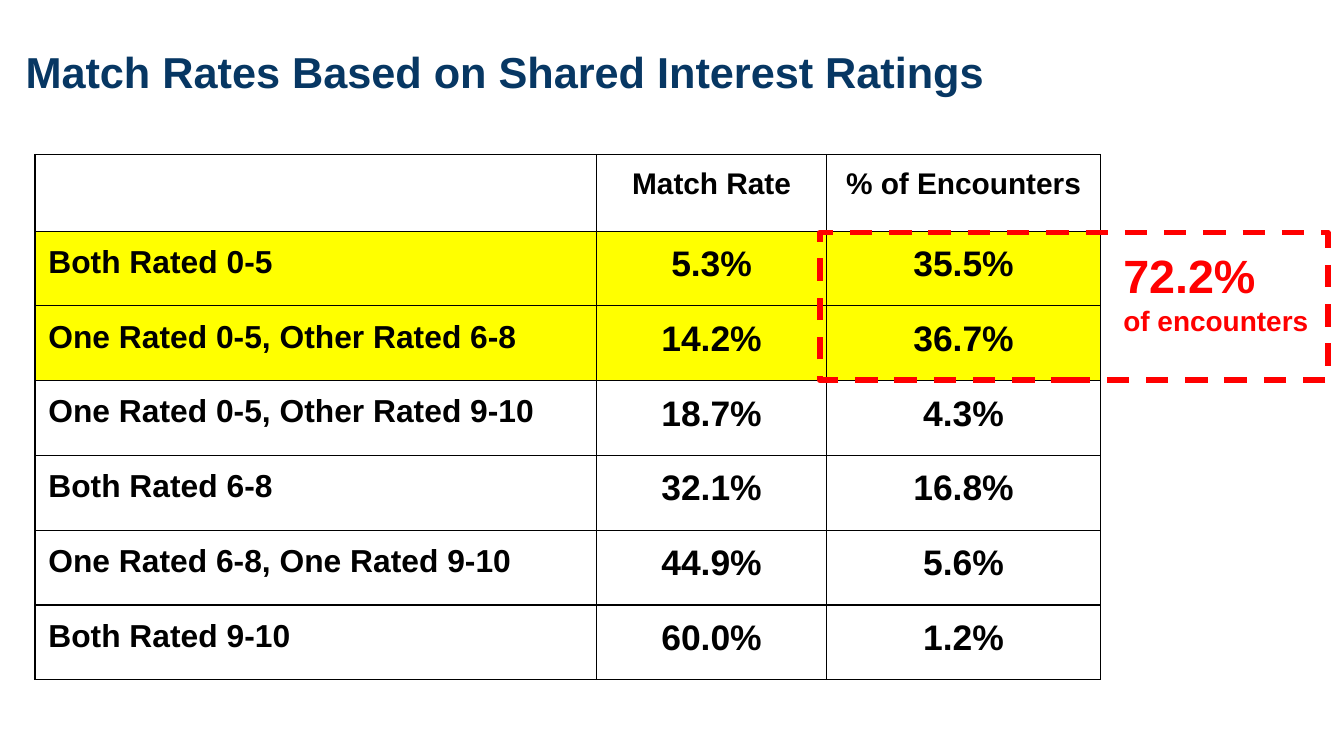
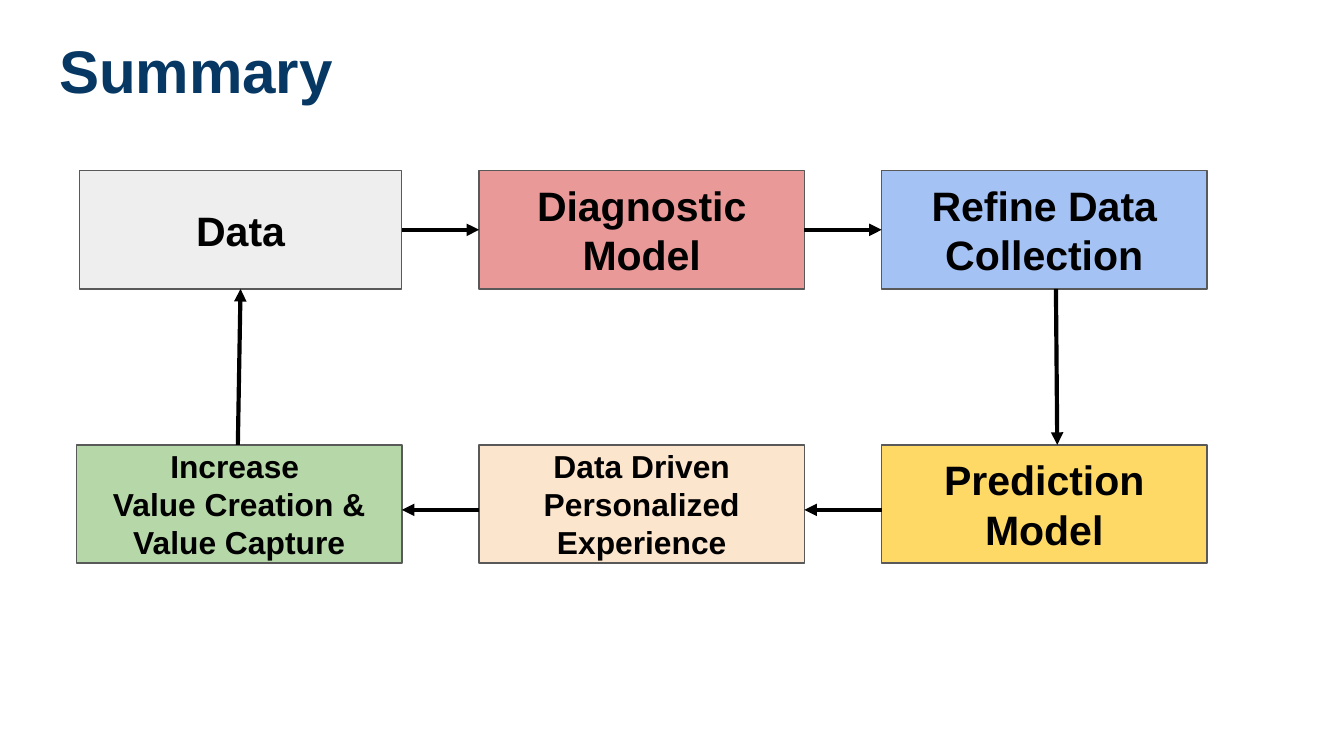
from lxml import etree
from pptx import Presentation
from pptx import util as u
from pptx.dml.color import RGBColor
from pptx.enum import dml, shapes, text
from pptx.oxml.ns import qn

FONT = "Arial"
COLOURS = {
    "title": "073763", "ink": "000000", "paper": "FFFFFF", "outline": "595959",
    "highlight": "FFFF00", "callout": "FF0000",
    "grey": "EEEEEE", "rose": "EA9999", "blue": "A4C2F4",
    "gold": "FFD966", "peach": "FCE5CD", "green": "B6D7A8",
}
INSET = 0.1
LEFT, CENTRE = text.PP_ALIGN.LEFT, text.PP_ALIGN.CENTER
TOP, MIDDLE = text.MSO_ANCHOR.TOP, text.MSO_ANCHOR.MIDDLE


def colour(name):
    return RGBColor.from_string(COLOURS[name])


def inches(*lengths):
    return [u.Inches(length) for length in lengths]


def add_span(para, words, size, ink="ink"):
    span = para.add_run()
    span.text = words
    span.font.name = FONT
    span.font.size = u.Pt(size)
    span.font.bold = True
    span.font.color.rgb = colour(ink)


def write(frame, lines, ink="ink", align=LEFT, anchor=TOP):
    frame.word_wrap = True
    frame.auto_size = text.MSO_AUTO_SIZE.NONE
    frame.vertical_anchor = anchor
    for side in ("left", "right", "top", "bottom"):
        setattr(frame, "margin_" + side, u.Inches(INSET))
    for index, (words, size) in enumerate(lines):
        para = frame.add_paragraph() if index else frame.paragraphs[0]
        para.alignment = align
        para.line_spacing = 1.0
        add_span(para, words, size, ink)


def add_page(deck, title, size, left, top):
    page = deck.slides.add_slide(deck.slide_layouts[5])
    page.background.fill.solid()
    page.background.fill.fore_color.rgb = colour("paper")
    box = page.shapes.title
    box.left, box.top, box.width, box.height = inches(left, top, 9.32, 0.63)
    write(box.text_frame, [(title, size)], "title")
    return page


def add_rectangle(page, box, fill, line, weight):
    shape = page.shapes.add_shape(shapes.MSO_SHAPE.RECTANGLE, *inches(*box))
    shape.shadow.inherit = False
    if fill:
        shape.fill.solid()
        shape.fill.fore_color.rgb = colour(fill)
    else:
        shape.fill.background()
    shape.line.color.rgb = colour(line)
    shape.line.width = u.Pt(weight)
    return shape


def add_arrow(page, start, end):
    arrow = page.shapes.add_connector(
        shapes.MSO_CONNECTOR.STRAIGHT, *inches(*start, *end))
    arrow.line.color.rgb = colour("ink")
    arrow.line.width = u.Pt(2.25)
    etree.SubElement(arrow.line._get_or_add_ln(), qn("a:tailEnd"), type="triangle")
    etree.SubElement(arrow._element.spPr, qn("a:effectLst"))


def add_borders(cell):
    properties = cell._tc.get_or_add_tcPr()
    for index, side in enumerate(("lnL", "lnR", "lnT", "lnB")):
        border = etree.Element(qn("a:" + side), w=str(u.Pt(0.75)))
        fill = etree.SubElement(border, qn("a:solidFill"))
        etree.SubElement(fill, qn("a:srgbClr"), val=COLOURS["ink"])
        properties.insert(index, border)


def add_rate_table(page, left, top, rows, widths, heights, highlighted):
    frame = page.shapes.add_table(
        len(rows), len(widths), *inches(left, top, sum(widths), sum(heights)))
    table = frame.table
    table.first_row = table.horz_banding = False
    for column, width in zip(table.columns, widths):
        column.width = u.Inches(width)
    for row, height in zip(table.rows, heights):
        row.height = u.Inches(height)
    for r, values in enumerate(rows):
        for c, value in enumerate(values):
            cell = table.cell(r, c)
            if r in highlighted:
                cell.fill.solid()
                cell.fill.fore_color.rgb = colour("highlight")
            else:
                cell.fill.background()
            add_borders(cell)
            cell.margin_left = cell.margin_right = u.Inches(INSET)
            cell.margin_top = cell.margin_bottom = u.Inches(INSET)
            if value:
                para = cell.text_frame.paragraphs[0]
                para.alignment = CENTRE if c else LEFT
                add_span(para, value, 16 if r == 0 else 19 if c else 17)


def add_callout(page, left, top, width, height):
    label = page.shapes.add_textbox(*inches(left + 2.16, top + 0.01, 1.63, 0.88))
    write(label.text_frame, [("72.2%", 25), ("of encounters", 15)], "callout")
    outline = add_rectangle(page, (left, top, width, height), None, "callout", 3)
    outline.line.dash_style = dml.MSO_LINE.DASH


def add_cycle(page, left, top, width, height):
    step_width, step_height = 2.42, 0.88
    across = (width - step_width) / 2
    down = height - step_height
    steps = [
        (0, 0, 0.02, "grey", 22, ["Data"]),
        (1, 0, 0, "rose", 22, ["Diagnostic", "Model"]),
        (2, 0, 0, "blue", 22, ["Refine Data Collection"]),
        (2, 1, 0, "gold", 22, ["Prediction Model"]),
        (1, 1, 0, "peach", 17, ["Data Driven Personalized Experience"]),
        (0, 1, 0, "green", 17, ["Increase ", "Value Creation & Value Capture"]),
    ]
    for column, row, trim, fill, size, lines in steps:
        box = (left + column * across + trim, top + row * down,
               step_width - trim, step_height)
        step = add_rectangle(page, box, fill, "outline", 0.75)
        write(step.text_frame, [(line, size) for line in lines],
              align=CENTRE, anchor=MIDDLE)

    upper = top + step_height / 2
    lower = top + down + step_height * 0.55
    for column in range(2):
        gap_start = left + column * across + step_width
        gap_end = left + (column + 1) * across
        add_arrow(page, (gap_start, upper), (gap_end, upper))
        add_arrow(page, (gap_end, lower), (gap_start, lower))
    rise = left + step_width / 2
    fall = left + 2 * across + step_width * 0.54
    lean = 0.01
    add_arrow(page, (rise - lean, top + down), (rise + lean, top + step_height))
    add_arrow(page, (fall - lean, top + step_height), (fall, top + down))


def build_rates(deck):
    page = add_page(deck, "Match Rates Based on Shared Interest Ratings", 23.2, 0.09, 0.24)
    rows = [
        ("", "Match Rate", "% of Encounters"),
        ("Both Rated 0-5", "5.3%", "35.5%"),
        ("One Rated 0-5, Other Rated 6-8", "14.2%", "36.7%"),
        ("One Rated 0-5, Other Rated 9-10", "18.7%", "4.3%"),
        ("Both Rated 6-8", "32.1%", "16.8%"),
        ("One Rated 6-8, One Rated 9-10", "44.9%", "5.6%"),
        ("Both Rated 9-10", "60.0%", "1.2%"),
    ]
    add_rate_table(page, 0.26, 1.15, rows, (4.18, 1.71, 2.04),
                   [0.57] + [3.34 / 6] * 6, (1, 2))
    add_callout(page, 6.1, 1.73, 3.78, 1.1)


def build_summary(deck):
    page = add_page(deck, "Summary", 32.2, 0.34, 0.15)
    add_cycle(page, 0.57, 1.27, 8.41, 2.92)


deck = Presentation()
deck.slide_width = u.Inches(10)
deck.slide_height = u.Emu(deck.slide_width * 9 // 16)
build_rates(deck)
build_summary(deck)
deck.save("out.pptx")
